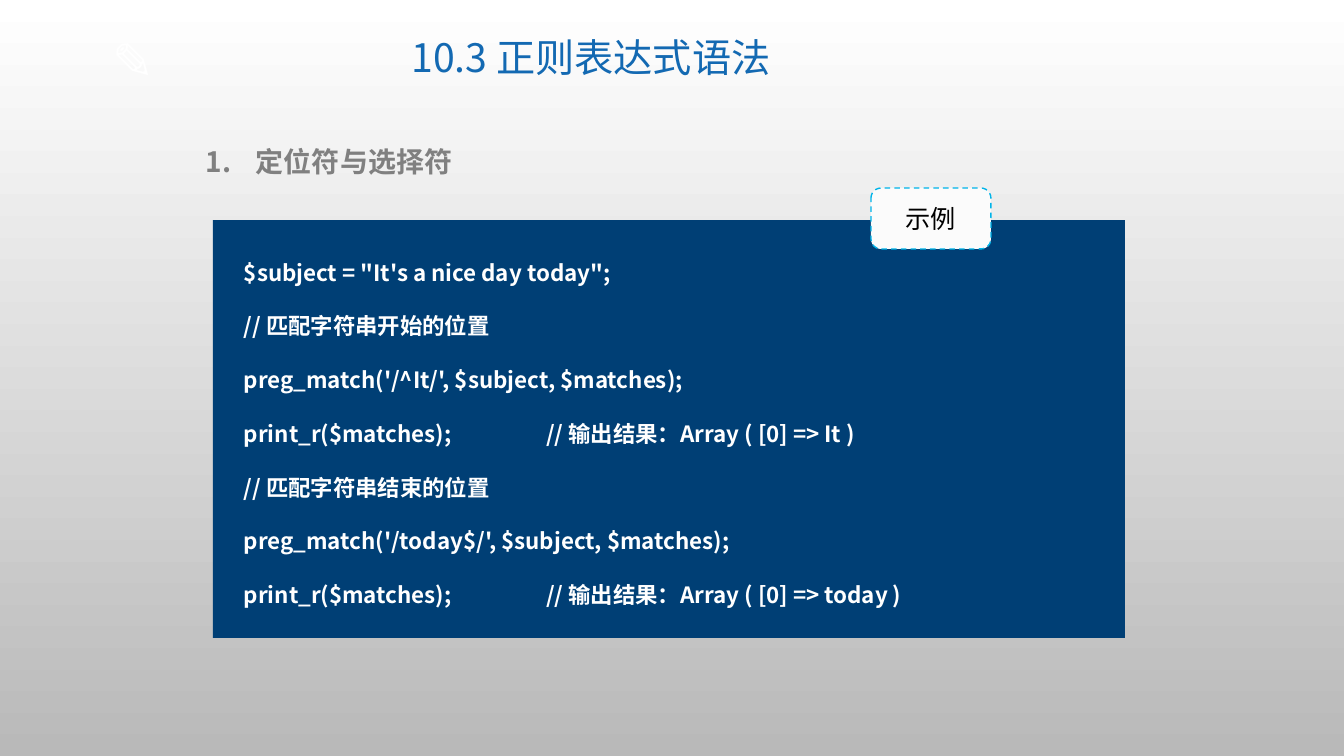
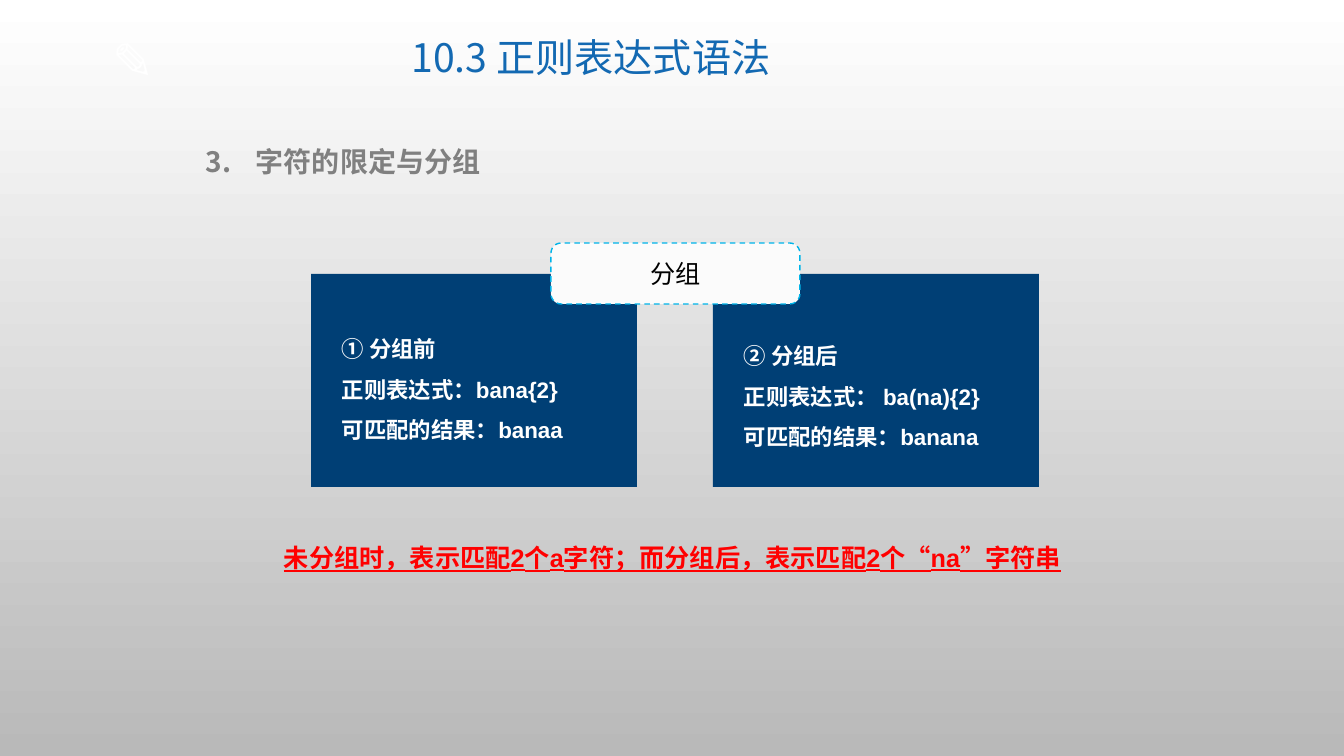
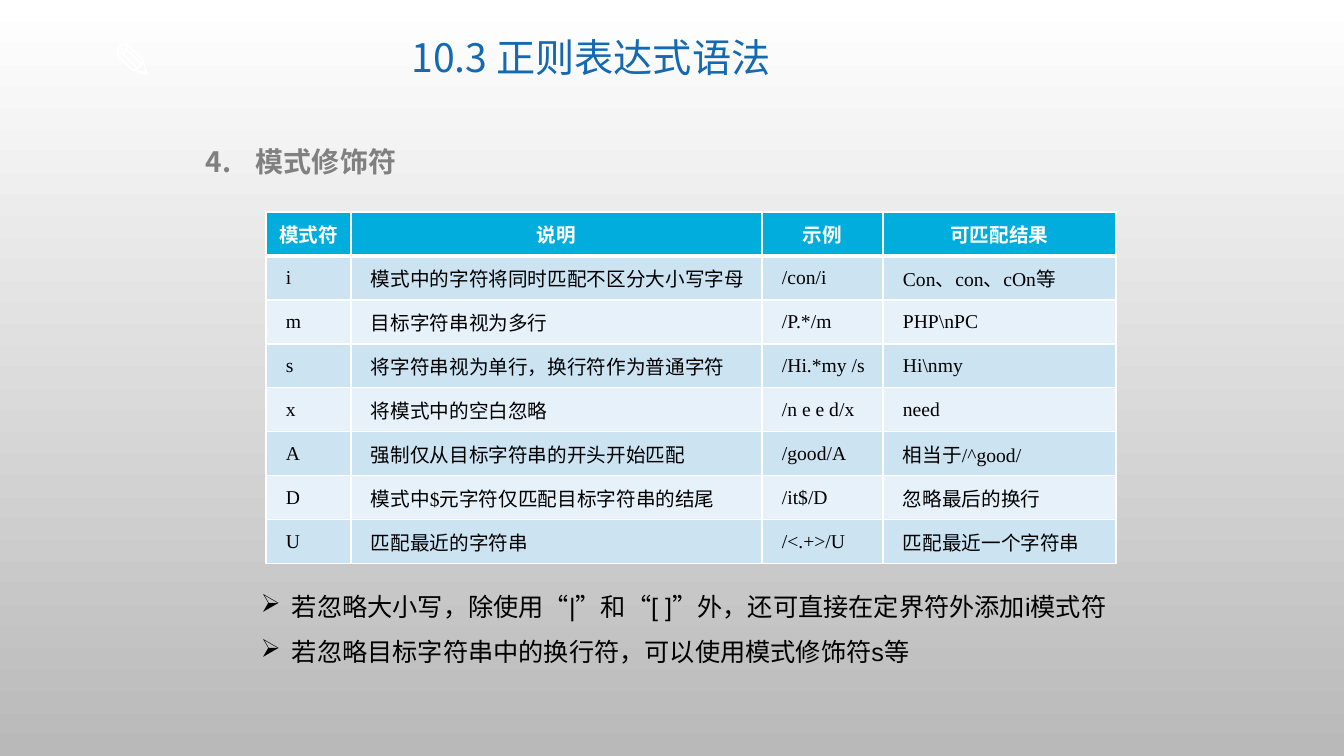
from lxml.etree import SubElement
from pptx import Presentation
from pptx.dml.color import RGBColor
from pptx.enum.dml import MSO_LINE
from pptx.enum.shapes import MSO_SHAPE
from pptx.enum.text import MSO_ANCHOR, MSO_AUTO_SIZE, PP_ALIGN
from pptx.oxml.ns import qn
from pptx.util import Pt

EMU_PER_PX = 914400 / 100.8

WHITE = RGBColor(0xFF, 0xFF, 0xFF)
BLACK = RGBColor(0, 0, 0)
RED = RGBColor(0xFF, 0, 0)
GRAY = RGBColor(0x80, 0x80, 0x80)
BACKGROUND_END = RGBColor(0xB9, 0xB9, 0xB9)
TITLE_BLUE = RGBColor(0x13, 0x69, 0xB2)
PANEL_BLUE = RGBColor(0x00, 0x3F, 0x75)
TAG_FILL = RGBColor(0xFB, 0xFB, 0xFB)
TAG_LINE = RGBColor(0x00, 0xB4, 0xE9)
HEADER_FILL = RGBColor(0x00, 0xAD, 0xDC)
ROW_FILLS = (RGBColor(0xCC, 0xE3, 0xF2), RGBColor(0xE7, 0xF1, 0xF9))

CJK = "Noto Sans CJK SC"

TITLE = "10.3 正则表达式语法"
CODE_LINES = [
    "$subject = \"It's a nice day today\";",
    "// 匹配字符串开始的位置",
    "preg_match('/^It/', $subject, $matches);",
    "print_r($matches);\t\t// 输出结果：Array ( [0] => It )",
    "// 匹配字符串结束的位置",
    "preg_match('/today$/', $subject, $matches);",
    "print_r($matches);\t\t// 输出结果：Array ( [0] => today )",
]
# Panel left, text top, lines
GROUPING_PANELS = [
    (311, 317, ["① 分组前", "正则表达式：bana{2}", "可匹配的结果：banaa"]),
    (713, 324, ["② 分组后", "正则表达式： ba(na){2}", "可匹配的结果：banana"]),
]
GROUPING_NOTE = "未分组时，表示匹配2个a字符；而分组后，表示匹配2个“na”字符串"
COLUMN_WIDTHS = [85, 411, 121, 233]
MODIFIERS = [
    ("模式符", "说明", "示例", "可匹配结果"),
    ("i", "模式中的字符将同时匹配不区分大小写字母", "/con/i", "Con、con、cOn等"),
    ("m", "目标字符串视为多行", "/P.*/m", "PHP\\nPC"),
    ("s", "将字符串视为单行，换行符作为普通字符", "/Hi.*my /s", "Hi\\nmy"),
    ("x", "将模式中的空白忽略", "/n e e d/x", "need"),
    ("A", "强制仅从目标字符串的开头开始匹配", "/good/A", "相当于/^good/"),
    ("D", "模式中$元字符仅匹配目标字符串的结尾", "/it$/D", "忽略最后的换行"),
    ("U", "匹配最近的字符串", "/<.+>/U", "匹配最近一个字符串"),
]
MODIFIER_NOTES = [
    "若忽略大小写，除使用“|”和“[ ]”外，还可直接在定界符外添加i模式符",
    "若忽略目标字符串中的换行符，可以使用模式修饰符s等",
]


def px(length):
    return round(length * EMU_PER_PX)


def write(frame, lines, size, color, font=CJK, bold=False, align=None, spacing=None):
    """Fill a text frame with one paragraph per line, all in one style."""
    for index, line in enumerate(lines):
        paragraph = frame.add_paragraph() if index else frame.paragraphs[0]
        paragraph.text = line
        paragraph.alignment = align
        paragraph.line_spacing = spacing
        paragraph.font.size = Pt(size)
        paragraph.font.bold = bold
        paragraph.font.color.rgb = color
        paragraph.font.name = font
        defaults = paragraph._p.pPr.find(qn("a:defRPr"))
        SubElement(defaults, qn("a:ea")).set("typeface", CJK)
    return frame.paragraphs


def add_text(slide, box, lines, size, color, wrap=True, grow=True, **style):
    frame = slide.shapes.add_textbox(*map(px, box)).text_frame
    frame.word_wrap = wrap
    if grow:
        frame.auto_size = MSO_AUTO_SIZE.SHAPE_TO_FIT_TEXT
    else:
        frame.vertical_anchor = MSO_ANCHOR.MIDDLE
    return write(frame, lines, size, color, **style)


def set_bullet(paragraph, indent, tag, **attributes):
    properties = paragraph._p.pPr
    properties.set("marL", str(px(indent)))
    properties.set("indent", str(-px(indent)))
    bullet = SubElement(properties, qn(tag), attributes)
    properties.find(qn("a:defRPr")).addprevious(bullet)


def add_shape(slide, kind, box, fill):
    shape = slide.shapes.add_shape(kind, *map(px, box))
    shape.shadow.inherit = False
    shape.fill.solid()
    shape.fill.fore_color.rgb = fill
    shape.line.fill.background()
    return shape


def add_panel(slide, box, text_top, lines, **style):
    left, top, width, height = box
    add_shape(slide, MSO_SHAPE.RECTANGLE, box, PANEL_BLUE)
    text_box = (left + 21, text_top, width - 21, top + height - text_top)
    add_text(slide, text_box, lines, 16, WHITE, bold=True, **style)


def add_tag(slide, left, top, width, label):
    tag = add_shape(slide, MSO_SHAPE.ROUNDED_RECTANGLE, (left, top, width, 61), TAG_FILL)
    tag.line.color.rgb = TAG_LINE
    tag.line.width = Pt(1)
    tag.line.dash_style = MSO_LINE.DASH
    tag.text_frame.vertical_anchor = MSO_ANCHOR.MIDDLE
    write(tag.text_frame, [label], 18, BLACK, font="Calibri", align=PP_ALIGN.CENTER)


def add_borders(cell, **widths):
    properties = cell._tc.get_or_add_tcPr()
    for side in "LRTB":
        line = SubElement(properties, qn(f"a:ln{side}"), w=str(Pt(widths.get(side, 1))))
        fill = SubElement(line, qn("a:solidFill"))
        SubElement(fill, qn("a:srgbClr"), val=str(WHITE))


def add_modifier_table(slide, left, top, row_height):
    size = (sum(COLUMN_WIDTHS), row_height * len(MODIFIERS))
    table = slide.shapes.add_table(
        len(MODIFIERS), len(COLUMN_WIDTHS), *map(px, (left, top, *size))).table
    for column, width in zip(table.columns, COLUMN_WIDTHS):
        column.width = px(width)
    for row_index, row in enumerate(MODIFIERS):
        for column_index, text in enumerate(row):
            cell = table.cell(row_index, column_index)
            cell.vertical_anchor = MSO_ANCHOR.MIDDLE
            cell.margin_left = cell.margin_right = px(8)
            cell.margin_top = cell.margin_bottom = 0
            if row_index == 0:
                add_borders(cell, B=3)
                fill = HEADER_FILL
                write(cell.text_frame, [text], 14, WHITE, font="Calibri",
                      bold=True, align=PP_ALIGN.CENTER)
            else:
                add_borders(cell, T=3 if row_index == 1 else 1)
                fill = ROW_FILLS[(row_index - 1) % 2]
                paragraph, = write(cell.text_frame, [text], 14, BLACK,
                                   font="Times New Roman", align=PP_ALIGN.JUSTIFY)
                paragraph._p.pPr.set("marL", str(px(12)))
                paragraph._p.pPr.set("indent", "0")
            cell.fill.solid()
            cell.fill.fore_color.rgb = fill


def set_background(master):
    fill = master.background.fill
    fill.gradient()
    fill.gradient_angle = 270
    for stop, color in zip(fill.gradient_stops, (WHITE, BACKGROUND_END)):
        stop.color.rgb = color


def add_slide(presentation, number, heading):
    """Add a slide with the pencil mark, the title and a numbered heading."""
    slide = presentation.slides.add_slide(presentation.slide_layouts[6])
    add_text(slide, (102, 24, 87, 72), ["✎"], 36, WHITE, wrap=False, bold=True)
    add_text(slide, (244, 17, 694, 86), [TITLE], 28, TITLE_BLUE, grow=False,
             align=PP_ALIGN.CENTER, spacing=0.9)
    paragraph, = add_text(slide, (196, 140, 929, 44), [heading], 20, GRAY, bold=True)
    set_bullet(paragraph, 50, "a:buAutoNum", type="arabicPeriod", startAt=str(number))
    return slide


def main():
    presentation = Presentation()
    presentation.slide_width = px(1344)
    presentation.slide_height = px(756)
    set_background(presentation.slide_master)

    slide = add_slide(presentation, 1, "定位符与选择符")
    add_panel(slide, (213, 220, 912, 418), 227, CODE_LINES, spacing=2.0)
    add_tag(slide, 871, 188, 120, "示例")

    slide = add_slide(presentation, 3, "字符的限定与分组")
    for left, text_top, lines in GROUPING_PANELS:
        add_panel(slide, (left, 274, 326, 213), text_top, lines, font="Arial", spacing=1.5)
    add_tag(slide, 551, 243, 249, "分组")
    note, = add_text(slide, (274, 537, 845, 40), [GROUPING_NOTE], 18, RED,
                     font="Arial", bold=True)
    note.font.underline = True

    slide = add_slide(presentation, 4, "模式修饰符")
    add_modifier_table(slide, 266, 212, 44)
    notes = add_text(slide, (251, 571, 883, 96), MODIFIER_NOTES, 18, BLACK,
                     font="Arial", spacing=1.5)
    for paragraph in notes:
        set_bullet(paragraph, 31, "a:buChar", char="➢")

    presentation.save("out.pptx")


if __name__ == "__main__":
    main()
